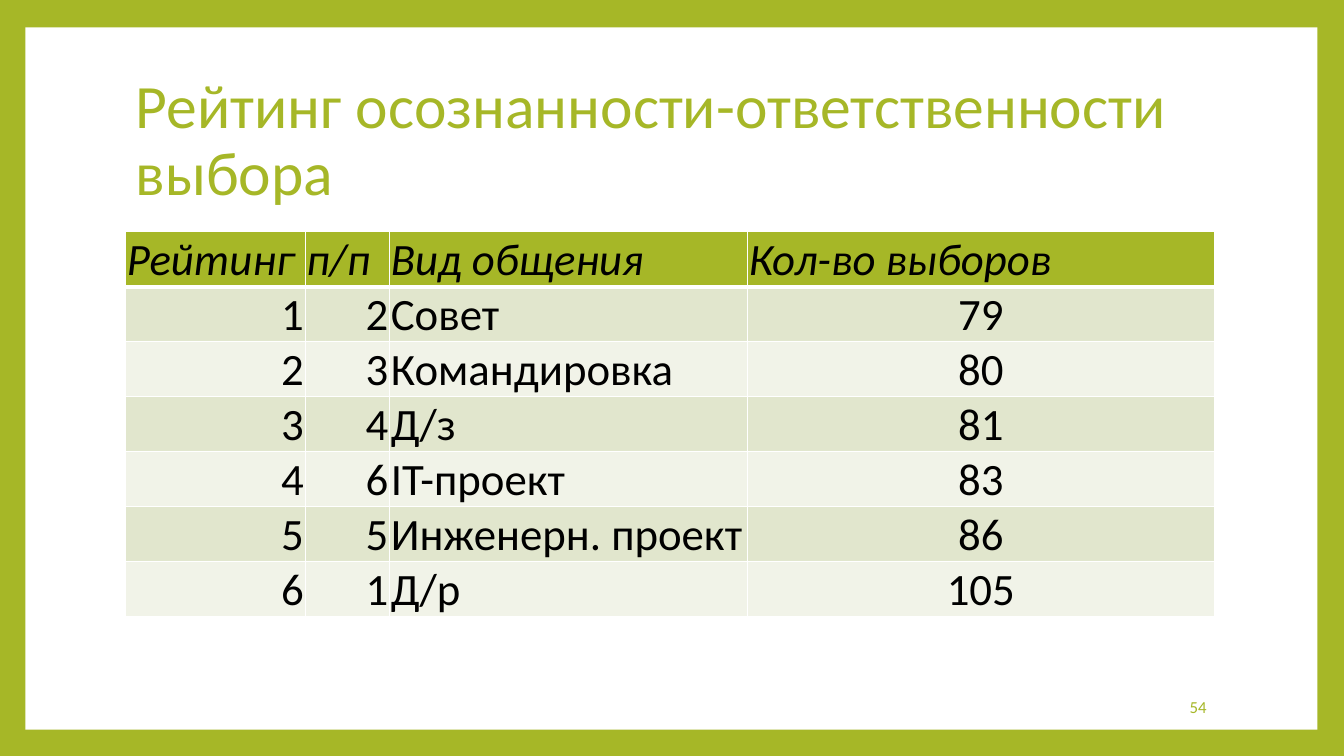
from lxml import etree
from pptx import Presentation
from pptx.dml.color import RGBColor
from pptx.enum import shapes, text
from pptx.oxml import ns
from pptx.util import Cm, Pt

TITLE = "Рейтинг осознанности-ответственности выбора"
NUMBER = "54"
HEAD = ("Рейтинг", "п/п", "Вид общения", "Кол-во выборов")
ROWS = [
    ("1", "2", "Совет", "79"),
    ("2", "3", "Командировка", "80"),
    ("3", "4", "Д/з", "81"),
    ("4", "6", "IT-проект", "83"),
    ("5", "5", "Инженерн. проект", "86"),
    ("6", "1", "Д/р", "105"),
]
COLORS = {"green": "A6B727", "white": "FFFFFF", "black": "000000",
          "dark": "E1E6CD", "light": "F1F3E8"}
FONT = "Calibri"
LEFT, WIDE = 3.17, 27.43
WIDTHS = (4.52, 2.13, 9.02, 11.76)
HIGH = 1.37
PAD = 0.03
LEFTWARD, MIDDLE, RIGHTWARD = (
    text.PP_ALIGN.LEFT, text.PP_ALIGN.CENTER, text.PP_ALIGN.RIGHT)
ALIGNS = (RIGHTWARD, RIGHTWARD, LEFTWARD, MIDDLE)


def color(name):
    return RGBColor.from_string(COLORS[name])


def paint(target, name):
    target.fill.solid()
    target.fill.fore_color.rgb = color(name)


def write(frame, words, size, tint, align=LEFTWARD, italic=False):
    para = frame.paragraphs[0]
    para.alignment = align
    run = para.add_run()
    run.text = words
    font = run.font
    font.name, font.size, font.italic = FONT, Pt(size), italic
    font.color.rgb = color(tint)
    return para


def add_label(slide, box, words, size, align=LEFTWARD):
    frame = slide.shapes.add_textbox(*map(Cm, box)).text_frame
    frame.word_wrap = True
    frame.vertical_anchor = text.MSO_ANCHOR.MIDDLE
    return write(frame, words, size, "green", align)


def add_edges(cell, top, bottom):
    """Draw white cell borders; top and bottom are widths in points."""
    props = cell._tc.get_or_add_tcPr()
    for side, width in (("L", 1), ("R", 1), ("T", top), ("B", bottom)):
        line = etree.SubElement(props, ns.qn("a:ln" + side), w=str(Pt(width)))
        fill = etree.SubElement(line, ns.qn("a:solidFill"))
        etree.SubElement(fill, ns.qn("a:srgbClr"), val=COLORS["white"])


def add_ranking(slide):
    lines = [HEAD] + ROWS
    table = slide.shapes.add_table(
        len(lines), len(HEAD), Cm(LEFT), Cm(5.84),
        Cm(WIDE), Cm(HIGH * len(lines))).table
    for column, width in zip(table.columns, WIDTHS):
        column.width = Cm(width)
    for r, line in enumerate(lines):
        head = r == 0
        shade = "green" if head else ("light", "dark")[r % 2]
        for c, words in enumerate(line):
            cell = table.cell(r, c)
            cell.margin_left = cell.margin_right = cell.margin_top = Cm(PAD)
            cell.margin_bottom = 0
            cell.vertical_anchor = text.MSO_ANCHOR.BOTTOM
            add_edges(cell, 3 if r == 1 else 1, 3 if head else 1)
            paint(cell, shade)
            write(cell.text_frame, words, 32, "black",
                  LEFTWARD if head else ALIGNS[c], head)


def main():
    deck = Presentation()
    deck.slide_width, deck.slide_height = Cm(33.87), Cm(19.05)
    slide = deck.slides.add_slide(deck.slide_layouts[6])
    paint(slide.background, "green")
    panel = slide.shapes.add_shape(
        shapes.MSO_SHAPE.RECTANGLE, Cm(0.64), Cm(0.69), Cm(32.56), Cm(17.7))
    panel.shadow.inherit = False
    paint(panel, "white")
    panel.line.fill.background()
    title = add_label(slide, (LEFT, 1.7, WIDE, 3.76), TITLE, 44)
    title.line_spacing = 0.9
    add_ranking(slide)
    add_label(slide, (25.91, 17.3, 4.75, 1.02), NUMBER, 12, RIGHTWARD)
    deck.save("out.pptx")


if __name__ == "__main__":
    main()
